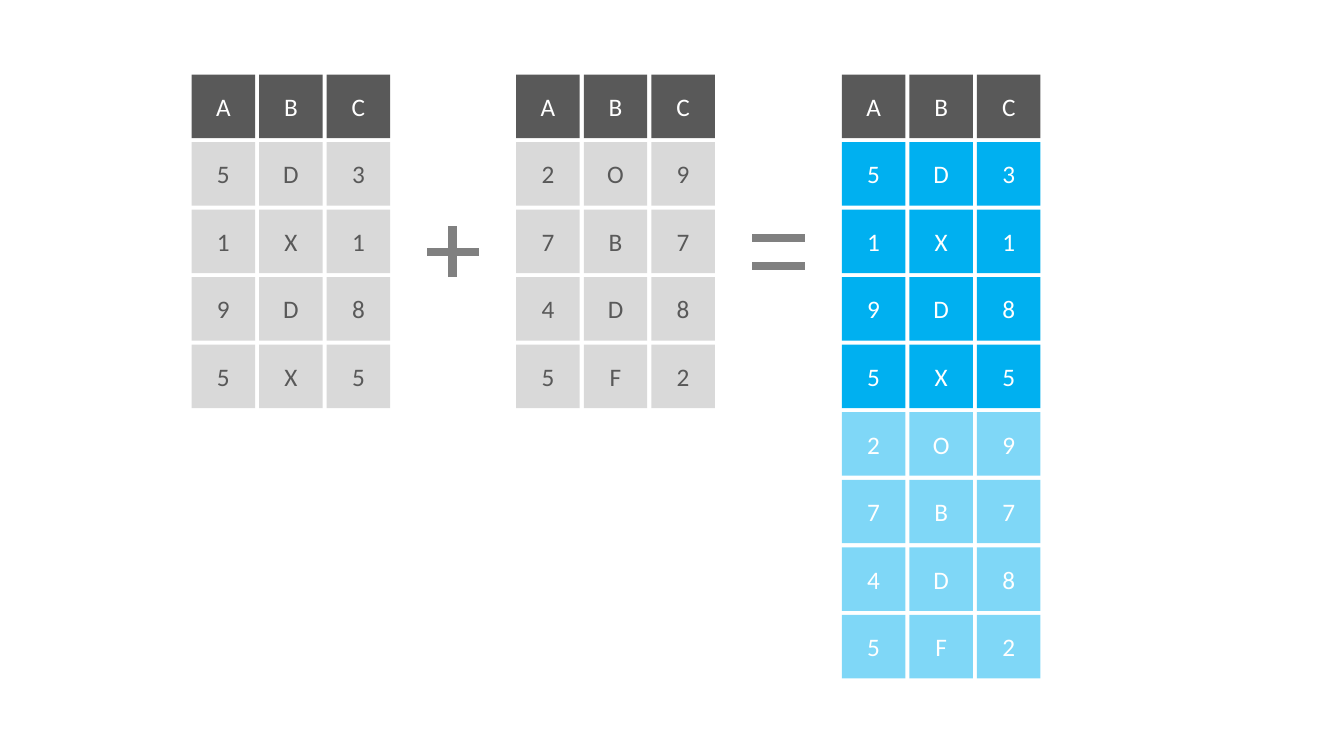
from lxml import etree
from pptx import Presentation
from pptx import util as u
from pptx.dml.color import RGBColor
from pptx.enum import shapes, text
from pptx.oxml import ns

COLORS = {
    "header": "595959",
    "cell": "D9D9D9",
    "result": "00B0F0",
    "operator": "808080",
    "light": "FFFFFF",
    "dark": "595959",
}
HEADER = "ABC"
FIRST_ROWS = ["5D3", "1X1", "9D8", "5X5"]
SECOND_ROWS = ["2O9", "7B7", "4D8", "5F2"]
TOP = 0.74
CELL = 0.63
PITCH = 0.67


class UnionSlide:
    font = "Calibri"
    font_size = u.Pt(18)
    line_width = u.Pt(6)

    def __init__(self, presentation):
        self.slide = presentation.slides.add_slide(presentation.slide_layouts[6])

    def color(self, name):
        return RGBColor.from_string(COLORS[name])

    def cell(self, group, left, top, value, fill, ink, alpha=100):
        shape = group.shapes.add_shape(
            shapes.MSO_SHAPE.RECTANGLE,
            u.Inches(left), u.Inches(top), u.Inches(CELL), u.Inches(CELL))
        shape.shadow.inherit = False
        shape.fill.solid()
        shape.fill.fore_color.rgb = self.color(fill)
        shape.line.fill.background()
        if alpha < 100:
            fill_color = shape._element.spPr.find(".//" + ns.qn("a:srgbClr"))
            etree.SubElement(fill_color, ns.qn("a:alpha"), val=str(alpha * 1000))
        frame = shape.text_frame
        frame.text = value
        frame.vertical_anchor = text.MSO_ANCHOR.MIDDLE
        paragraph = frame.paragraphs[0]
        paragraph.alignment = text.PP_ALIGN.CENTER
        font = paragraph.runs[0].font
        font.name = self.font
        font.size = self.font_size
        font.color.rgb = self.color(ink)

    def grid(self, left, sections):
        group = self.slide.shapes.add_group_shape()
        row = 0
        for rows, fill, ink, alpha in sections:
            for values in rows:
                for column, value in enumerate(values):
                    self.cell(group, left + column * PITCH, TOP + row * PITCH,
                              value, fill, ink, alpha)
                row += 1

    def operator(self, strokes):
        group = self.slide.shapes.add_group_shape()
        for stroke in strokes:
            line = group.shapes.add_connector(
                shapes.MSO_CONNECTOR.STRAIGHT, *[u.Inches(value) for value in stroke])
            line.line.color.rgb = self.color("operator")
            line.line.width = self.line_width
            etree.SubElement(line._element.spPr, ns.qn("a:effectLst"))


def main():
    presentation = Presentation()
    presentation.slide_width = u.Inches(13.33)
    presentation.slide_height = u.Inches(7.5)
    union = UnionSlide(presentation)

    header = ([HEADER], "header", "light", 100)
    union.grid(1.9, [header, (FIRST_ROWS, "cell", "dark", 100)])
    union.grid(5.12, [header, (SECOND_ROWS, "cell", "dark", 100)])
    union.grid(8.35, [header,
                      (FIRST_ROWS, "result", "light", 100),
                      (SECOND_ROWS, "result", "light", 50)])
    union.operator([(4.24, 2.5, 4.75, 2.5), (4.49, 2.75, 4.49, 2.24)])
    union.operator([(7.46, y, 7.98, y) for y in (2.36, 2.64)])

    presentation.save("out.pptx")


if __name__ == "__main__":
    main()
